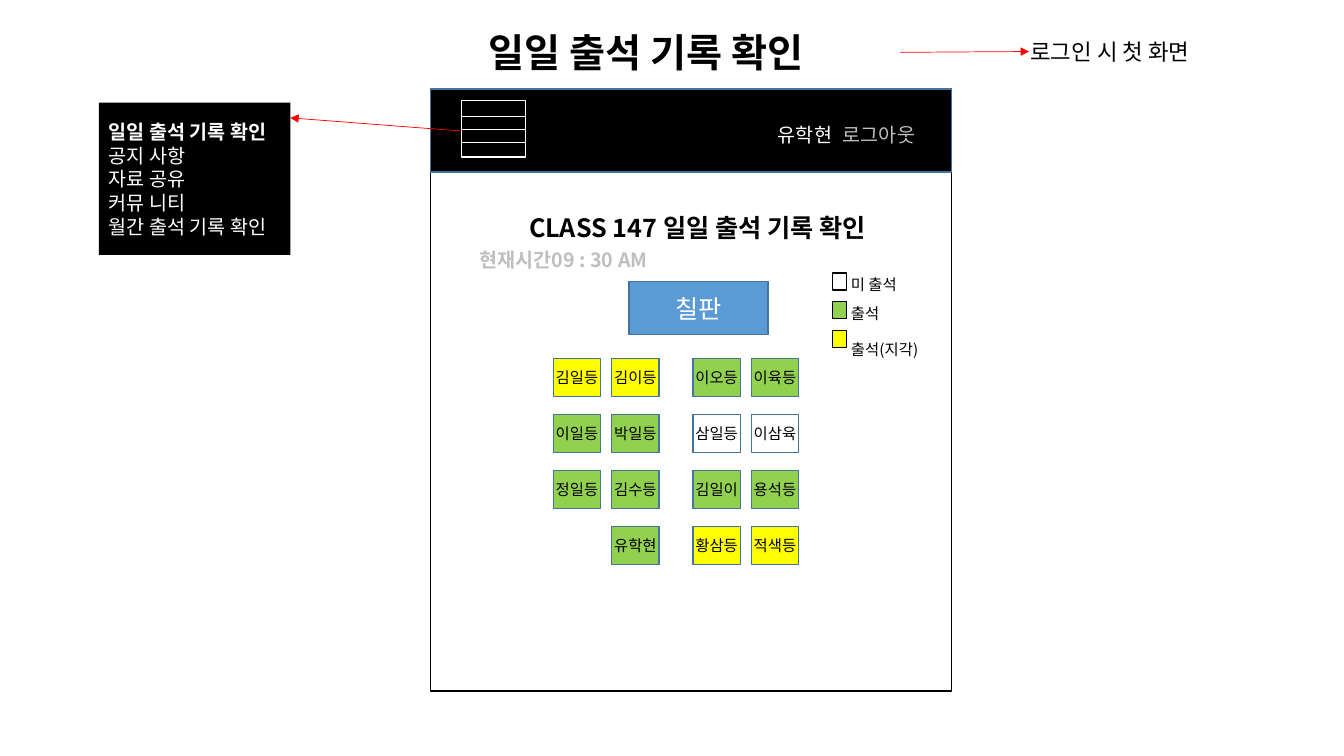
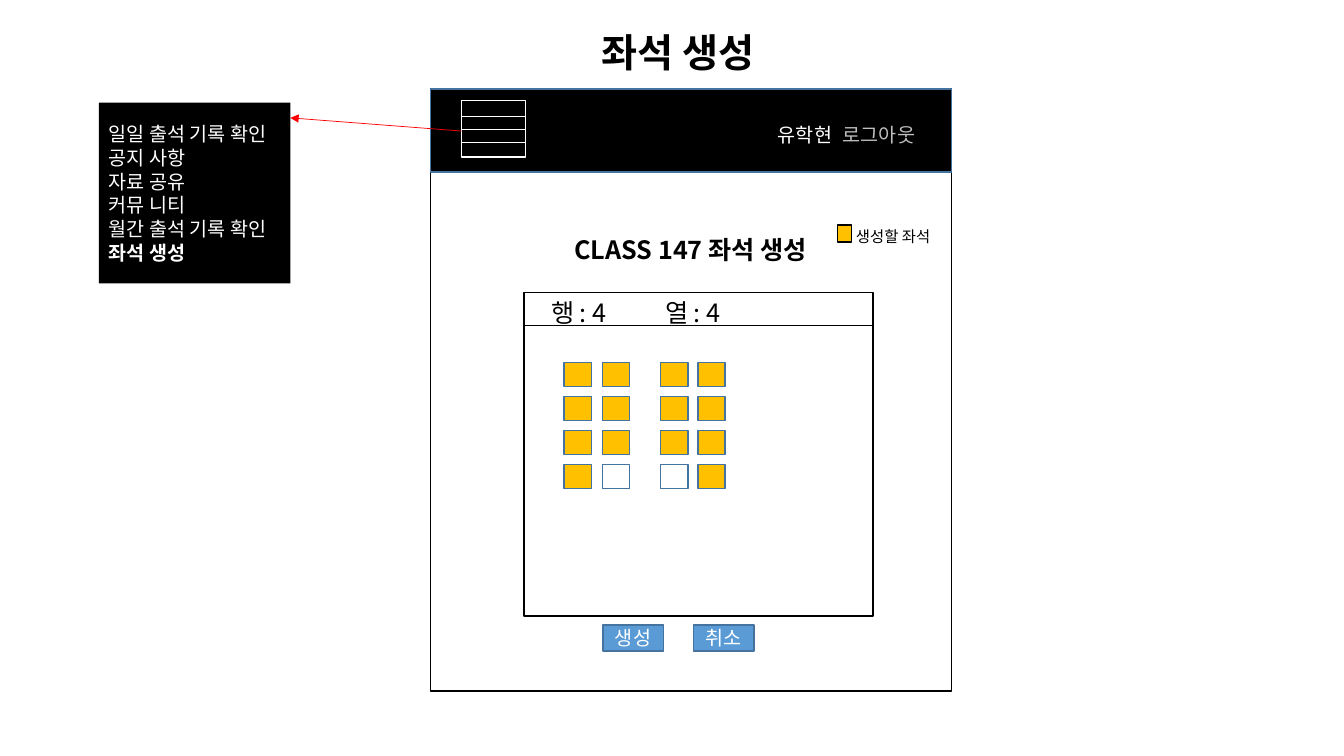
from lxml import etree
from pptx import Presentation
from pptx.dml.color import RGBColor
from pptx.enum.shapes import MSO_CONNECTOR, MSO_SHAPE
from pptx.enum.text import MSO_ANCHOR, PP_ALIGN
from pptx.oxml.ns import qn
from pptx.util import Pt

RECT = MSO_SHAPE.RECTANGLE
LINE = MSO_CONNECTOR.STRAIGHT
MIDDLE = MSO_ANCHOR.MIDDLE
LEFT, CENTER = PP_ALIGN.LEFT, PP_ALIGN.CENTER

FONT = "Noto Sans CJK KR"
COLORS = {
    "black": "000000", "white": "FFFFFF", "gray": "BFBFBF", "red": "FF0000",
    "blue": "5B9BD5", "edge": "43739E", "green": "92D050",
    "yellow": "FFFF00", "gold": "FFC000",
}
MENU = ["일일 출석 기록 확인", "공지 사항", "자료 공유", "커뮤 니티",
        "월간 출석 기록 확인"]

# Seats of the daily view: name and fill, row by row
SEATS = [
    [("김일등", "yellow"), ("김이등", "yellow"), ("이오등", "green"), ("이육등", "green")],
    [("이일등", "green"), ("박일등", "green"), ("삼일등", "white"), ("이삼육", "white")],
    [("정일등", "green"), ("김수등", "green"), ("김일이", "green"), ("용석등", "green")],
    [None, ("유학현", "green"), ("황삼등", "yellow"), ("적색등", "yellow")],
]
EMPTY = [(3, 1), (3, 2)]  # row and column of seats left out of the new plan


def color(name):
    return RGBColor.from_string(COLORS[name])


def write(shape, text, size, ink="black", bold=False, align=LEFT, inset=7.2, pitch=None):
    """Fill a shape with text; pitch fixes the line height."""
    frame = shape.text_frame
    frame.text = text
    frame.word_wrap = True
    frame.vertical_anchor = MIDDLE
    frame.margin_left = frame.margin_right = Pt(inset)
    frame.margin_top = frame.margin_bottom = Pt(0)
    for para in frame.paragraphs:
        para.alignment = align
        if pitch:
            para.line_spacing = Pt(pitch)
        for run in para.runs:
            run.font.size = Pt(size)
            run.font.bold = bold
            run.font.color.rgb = color(ink)
            run.font.name = FONT
            east = etree.SubElement(run._r.get_or_add_rPr(), qn("a:ea"))
            east.set("typeface", FONT)


def label(slide, x, y, w, h, text, size, **style):
    write(slide.shapes.add_textbox(Pt(x), Pt(y), Pt(w), Pt(h)), text, size, **style)


def box(slide, x, y, w, h, fill=None, edge="edge"):
    shape = slide.shapes.add_shape(RECT, Pt(x), Pt(y), Pt(w), Pt(h))
    shape.shadow.inherit = False
    if fill:
        shape.fill.solid()
        shape.fill.fore_color.rgb = color(fill)
    else:
        shape.fill.background()
    if edge:
        shape.line.color.rgb = color(edge)
        shape.line.width = Pt(1)
    else:
        shape.line.fill.background()
    return shape


def button(slide, x, y, w, h, text, size):
    write(box(slide, x, y, w, h, "blue"), text, size, "white", align=CENTER, inset=0)


def rule(slide, x1, y1, x2, y2, ink, arrow=False):
    line = slide.shapes.add_connector(LINE, Pt(x1), Pt(y1), Pt(x2), Pt(y2))
    line.line.color.rgb = color(ink)
    line.line.width = Pt(0.5)
    if arrow:
        tail = etree.SubElement(line.line._get_or_add_ln(), qn("a:tailEnd"))
        tail.set("type", "triangle")
    etree.SubElement(line._element.spPr, qn("a:effectLst"))


def legend(slide, x, y, fill, text, w=80, h=21, pitch=None):
    box(slide, x, y, 10.1, 12.2, fill, "black")
    label(slide, x + 6, y - 2.5, w, h, text, 11, pitch=pitch)


def screen(deck, title, x, w, items, active):
    """Add a slide with title, window frame, top bar and open menu."""
    slide = deck.slides.add_slide(deck.slide_layouts[6])
    label(slide, x, 16.5, w, 41, title, 28, bold=True)

    # Window and top bar
    box(slide, 307.5, 63.5, 372, 430, edge="black")
    box(slide, 307.5, 63.5, 372, 59.5, "black")
    label(slide, 548.6, 84, 55, 24.5, "유학현", 14, ink="white")
    label(slide, 595, 84, 78, 24.5, "로그아웃", 14, ink="gray")

    # Menu icon
    box(slide, 329.8, 72, 45.4, 40.3, "black", "white")
    for i in range(3):
        y = 83 + 9.5 * i
        rule(slide, 329.8, y, 375.2, y, "white")

    # Open menu, as high as its list
    rule(slide, 329.8, 93.6, 207.4, 84.2, "red", arrow=True)
    menu = box(slide, 70.6, 73.4, 136.8, 7.8 + 20.2 * len(items), "black", None)
    write(menu, "\n".join(items), 14, "white", pitch=16.9)
    for run in menu.text_frame.paragraphs[active].runs:
        run.font.bold = True
    return slide


def daily(deck):
    slide = screen(deck, "일일 출석 기록 확인", 342, 310, MENU, 0)
    rule(slide, 643, 37.4, 735, 36.8, "red", arrow=True)
    label(slide, 729, 23, 150, 27, "로그인 시 첫 화면", 16)

    # Heading and board
    label(slide, 370.8, 147.6, 281, 29, "CLASS 147 일일 출석 기록 확인", 18, bold=True)
    label(slide, 335.5, 173.5, 193, 24.5, "현재시간09 : 30 AM", 14, ink="gray", bold=True)
    button(slide, 449.3, 201, 99.4, 38, "칠판", 18)

    # Legend
    legend(slide, 594.7, 195, "white", "미 출석")
    legend(slide, 594.7, 215.5, "green", "출석")
    legend(slide, 594.7, 236, "yellow", "출석(지각)", 65.5, 33, 13)

    # Seats
    for r, row in enumerate(SEATS):
        for x, seat in zip((395.3, 437, 495, 536.7), row):
            if seat:
                name, fill = seat
                shape = box(slide, x, 256 + 40 * r, 33.8, 27.4, fill)
                write(shape, name, 11, align=CENTER, inset=0)


def plan(deck):
    slide = screen(deck, "좌석 생성", 422.6, 202, MENU + ["좌석 생성"], 5)
    label(slide, 403.2, 163.5, 195, 29, "CLASS 147 좌석 생성", 18, bold=True)
    legend(slide, 598.3, 160.6, "gold", "생성할 좌석")

    # Plan area with its row and column counts
    box(slide, 374.4, 208.8, 249.1, 231.1, "white", "black")
    rule(slide, 375, 232.6, 624, 232.6, "black")
    for x, text in ((386.6, "행 : 4"), (468, "열 : 4")):
        label(slide, x, 208.8, 80, 29, text, 18)

    # Seats
    for r in range(4):
        for c, x in enumerate((403, 430.5, 472, 498.5)):
            fill = "white" if (r, c) in EMPTY else "gold"
            box(slide, x, 259 + 24.2 * r, 19.4, 17.3, fill)

    # Buttons
    for x, text in ((430.6, "생성"), (495.4, "취소")):
        button(slide, x, 446.4, 43.2, 18.7, text, 14)


def main():
    deck = Presentation()
    deck.slide_width, deck.slide_height = Pt(960), Pt(540)
    daily(deck)
    plan(deck)
    deck.save("out.pptx")


if __name__ == "__main__":
    main()
